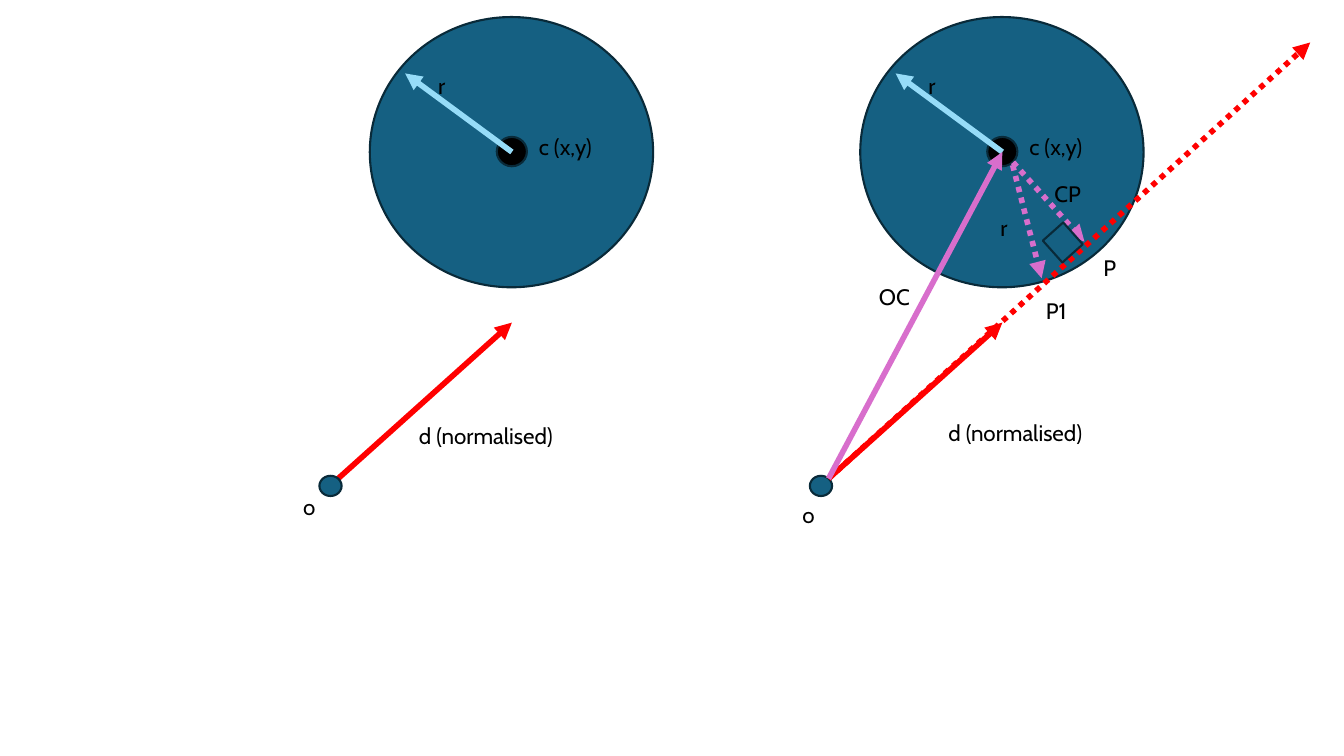
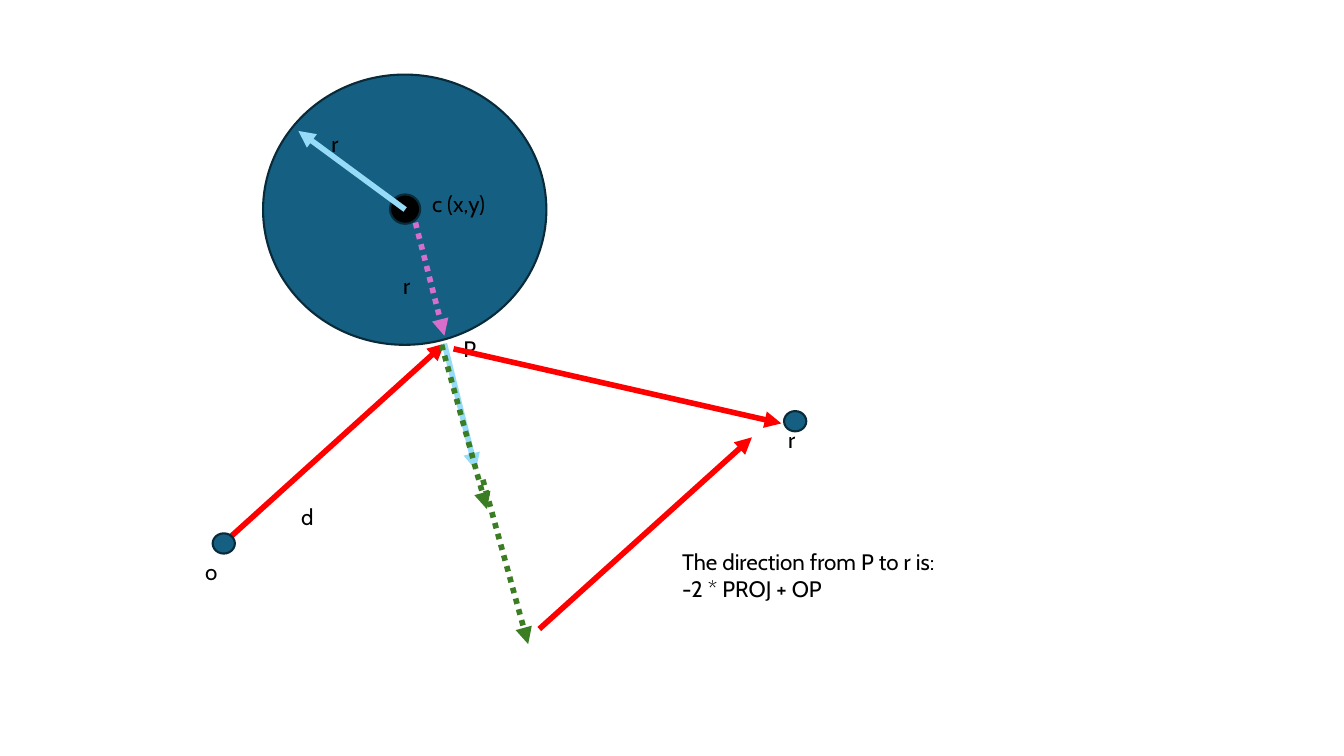
"""Build two slides that explain how a ray meets and leaves a circle."""
import dataclasses
import typing

import pptx
import pptx.dml.color
import pptx.enum.dml
import pptx.enum.shapes
import pptx.enum.text
import pptx.oxml
import pptx.oxml.ns
import pptx.util

Cm = pptx.util.Cm
Pt = pptx.util.Pt
RGBColor = pptx.dml.color.RGBColor
SHAPE = pptx.enum.shapes.MSO_SHAPE

BLACK = RGBColor(0x00, 0x00, 0x00)
TEAL = RGBColor(0x15, 0x60, 0x82)
OUTLINE = RGBColor(0x09, 0x2A, 0x39)
RED = RGBColor(0xFF, 0x00, 0x00)
SKY = RGBColor(0x96, 0xDC, 0xF8)
PINK = RGBColor(0xD8, 0x6E, 0xCC)
GREEN = RGBColor(0x3B, 0x7D, 0x23)

FONT = "Cabin"
CIRCLE_SIZE = (7.14, 6.81)
CENTRE = (3.58, 3.4)
CENTRE_SIZE = (0.76, 0.74)
POINT_SIZE = (0.56, 0.51)
RAY_START = (-0.8, 11.63)
HIT = (4.57, 6.78)
LETTER = 0.84
NARROW = 0.71


@dataclasses.dataclass
class Box:
    """A drawing area whose corner is the corner of its circle."""
    page: typing.Any
    left: float
    top: float

    def at(self, spot):
        """Return a spot of the box as lengths on the page."""
        return Cm(self.left + spot[0]), Cm(self.top + spot[1])


def add_label(box, text, spot, width, height=0.94, size=16, colour=BLACK):
    """Write text, one paragraph for each line, without wrapping."""
    label = box.page.shapes.add_textbox(*box.at(spot), Cm(width), Cm(height))
    frame = label.text_frame
    frame.word_wrap = False
    frame.auto_size = pptx.enum.text.MSO_AUTO_SIZE.SHAPE_TO_FIT_TEXT
    for index, line in enumerate(text.split("\n")):
        para = frame.paragraphs[0] if index == 0 else frame.add_paragraph()
        span = para.add_run()
        span.text = line
        span.font.name = FONT
        span.font.size = Pt(size)
        span.font.color.rgb = colour


def add_figure(box, kind, spot, size, fill=TEAL, rotation=0):
    """Draw a filled and outlined preset shape."""
    figure = box.page.shapes.add_shape(kind, *box.at(spot), *map(Cm, size))
    figure.shadow.inherit = False
    figure.fill.solid()
    figure.fill.fore_color.rgb = fill
    figure.line.color.rgb = OUTLINE
    figure.line.width = Pt(1.5)
    figure.rotation = rotation


def add_arrow(box, start, end, colour, dotted=False):
    """Draw a straight arrow, solid or dotted."""
    arrow = box.page.shapes.add_connector(
        pptx.enum.shapes.MSO_CONNECTOR.STRAIGHT, *box.at(start), *box.at(end))
    arrow.line.color.rgb = colour
    arrow.line.width = Pt(4)
    if dotted:
        arrow.line.dash_style = pptx.enum.dml.MSO_LINE.ROUND_DOT
    properties = arrow.element.spPr
    head = pptx.oxml.parse_xml(
        f'<a:tailEnd {pptx.oxml.ns.nsdecls("a")} type="triangle"/>')
    properties.find(pptx.oxml.ns.qn("a:ln")).append(head)
    properties.append(pptx.oxml.parse_xml(
        f'<a:effectLst {pptx.oxml.ns.nsdecls("a")}/>'))


def draw_scene(box, ray_end, origin_label):
    """Draw the ray from its origin and the circle with centre and radius."""
    add_arrow(box, RAY_START, ray_end, RED)
    add_figure(box, SHAPE.OVAL, (-1.27, 11.56), POINT_SIZE)
    add_figure(box, SHAPE.OVAL, (0, 0), CIRCLE_SIZE)
    add_figure(box, SHAPE.OVAL, (3.2, 3.02), CENTRE_SIZE, fill=BLACK)
    add_label(box, "r", (1.47, 1.27), NARROW)
    add_arrow(box, CENTRE, (0.89, 1.42), SKY)
    add_label(box, "c (x,y)", (4.01, 2.79), 1.9)
    add_label(box, "o", origin_label, LETTER)


def draw_contact(box):
    """Draw the dotted radius to the point where the ray hits."""
    add_arrow(box, (3.84, 3.73), (4.57, 6.58), PINK, dotted=True)
    add_label(box, "r", (3.28, 4.85), NARROW)


def draw_ray(box):
    """Show the circle and a ray with a unit direction."""
    draw_scene(box, (3.58, 7.7), (-1.93, 11.86))
    add_label(box, "d (normalised)", (0.99, 10.08), 4.09)


def draw_intersection(box):
    """Show the ray extended through the circle and its projection."""
    draw_scene(box, (3.58, 7.7), (-1.71, 12.07))
    add_arrow(box, RAY_START, (11.34, 0.64), RED, dotted=True)
    add_arrow(box, RAY_START, CENTRE, PINK)
    add_arrow(box, (3.85, 3.66), (5.65, 5.66), PINK, dotted=True)
    add_figure(box, SHAPE.RECTANGLE, (4.76, 5.31), (0.69, 0.74),
               rotation=318.2)
    draw_contact(box)
    for text, spot, width in (
            ("P", (5.88, 5.84), LETTER),
            ("OC", (0.22, 6.58), 1.32),
            ("d (normalised)", (1.97, 10.01), 4.09),
            ("P1", (4.43, 6.93), 1.14),
            ("CP", (4.64, 3.99), 1.24)):
        add_label(box, text, spot, width)


def draw_reflection(box):
    """Show the ray reflected at the point of contact."""
    draw_scene(box, HIT, (-1.71, 12.07))
    add_label(box, "d", (0.71, 10.67), LETTER)
    add_label(box, "P", (4.8, 6.43), LETTER)
    draw_contact(box)
    add_arrow(box, HIT, (5.36, 9.96), SKY)
    add_arrow(box, (4.8, 6.91), (13.06, 8.79), RED)
    for left, top in ((4.5, 6.81), (5.54, 10.21)):
        add_arrow(box, (left, top), (left + 1.14, top + 4.14), GREEN,
                  dotted=True)
    add_label(box, "The direction from P to r is:\n-2 * PROJ + OP",
              (10.31, 11.81), 7.04, height=1.63)
    add_arrow(box, (6.96, 13.97), (12.32, 9.14), RED)
    add_label(box, "r", (12.98, 8.74), NARROW)
    add_figure(box, SHAPE.OVAL, (13.13, 8.48), POINT_SIZE)


def main():
    """Build and save the deck."""
    deck = pptx.Presentation()
    deck.slide_width, deck.slide_height = Cm(33.87), Cm(19.05)
    blank = deck.slide_layouts[6]
    page = deck.slides.add_slide(blank)
    draw_ray(Box(page, 9.32, 0.43))
    draw_intersection(Box(page, 21.68, 0.43))
    draw_reflection(Box(deck.slides.add_slide(blank), 6.63, 1.88))
    deck.save("out.pptx")


if __name__ == "__main__":
    main()
